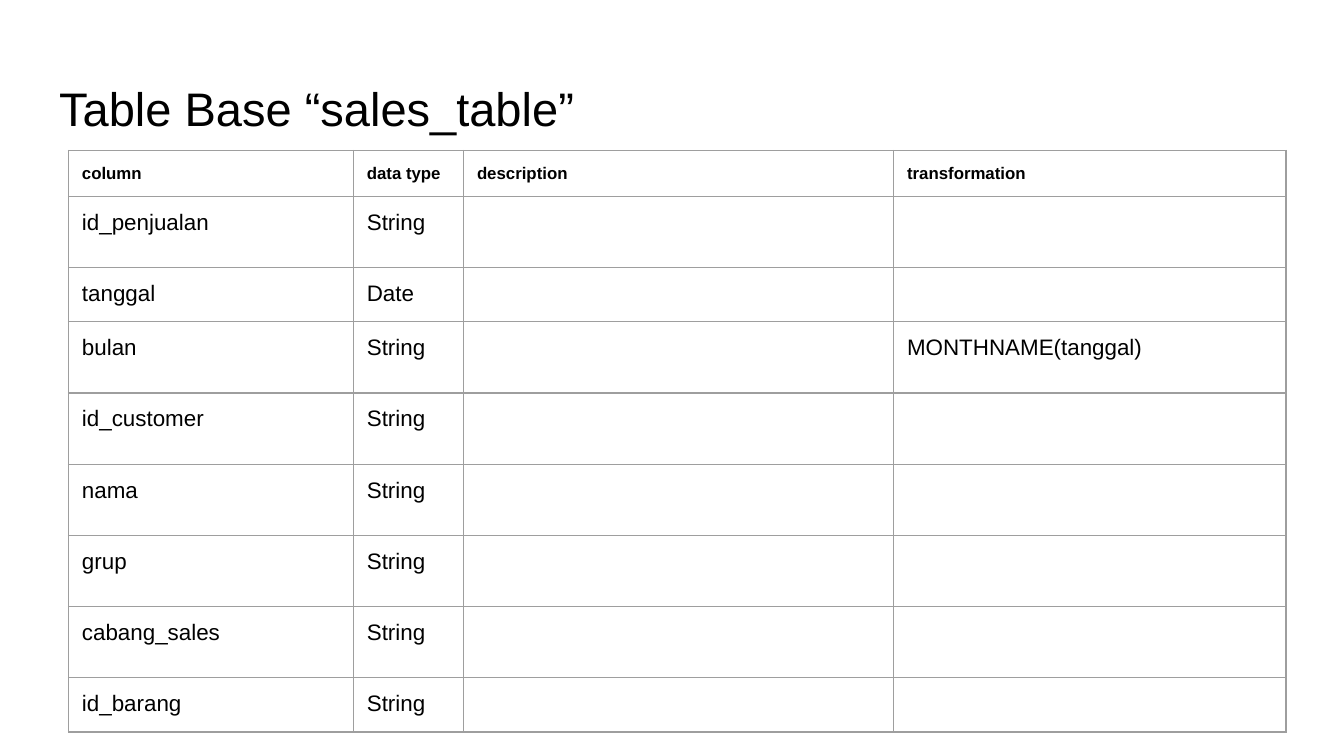
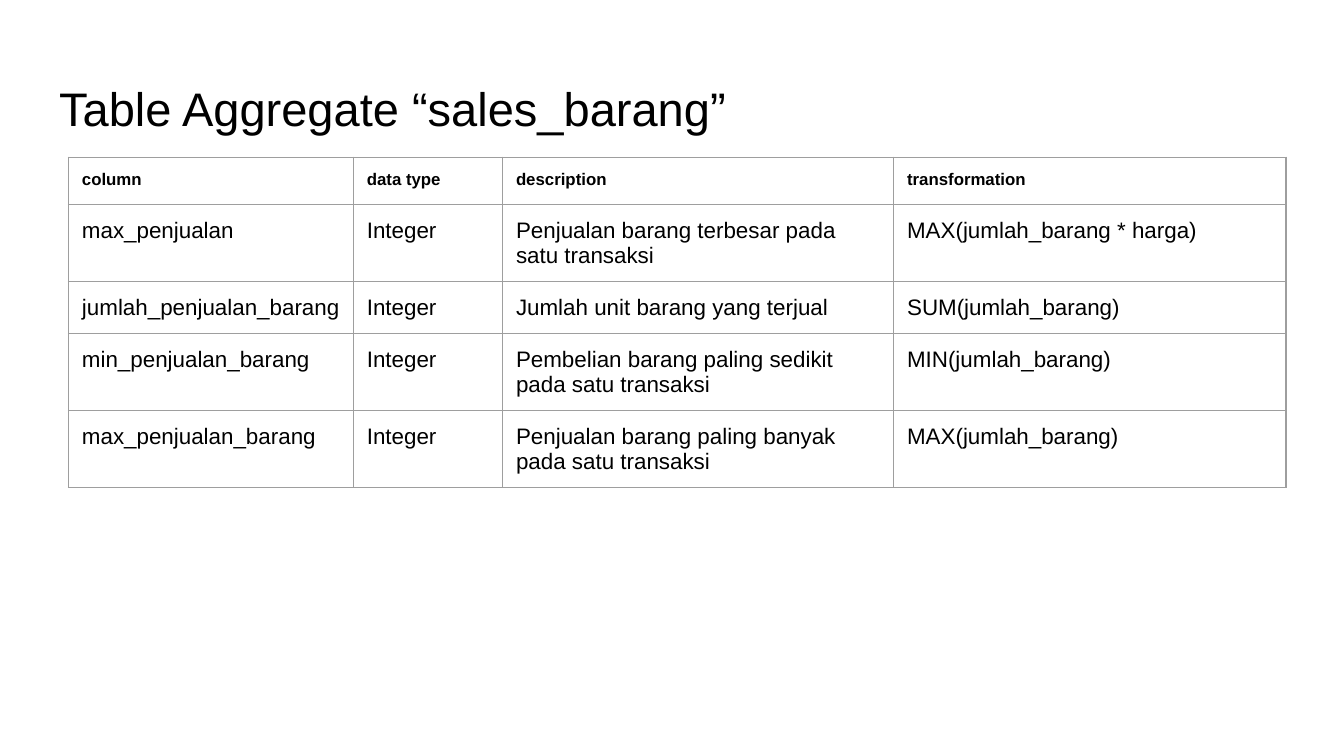
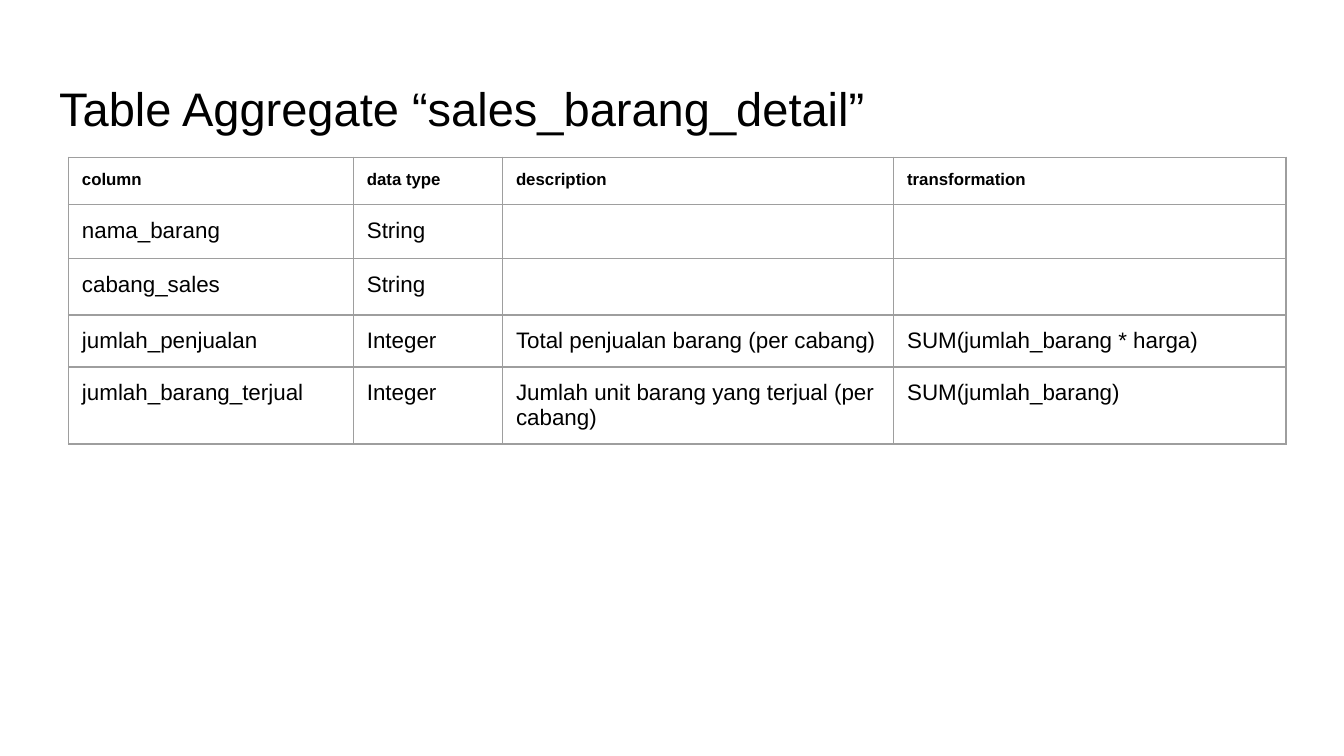
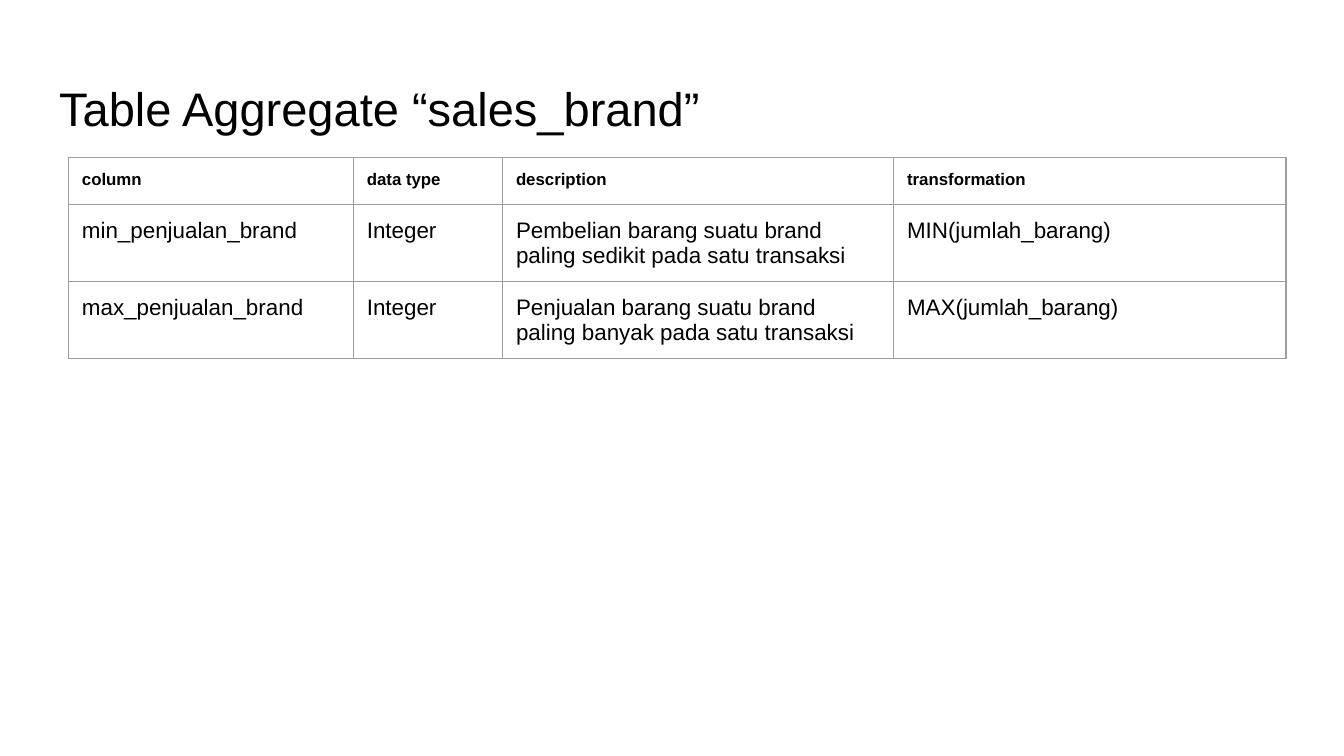
"""Build four slides that document the columns of the sales tables."""
from dataclasses import dataclass

import lxml.etree
import pptx
import pptx.dml.color
import pptx.enum.text
import pptx.oxml.ns
import pptx.presentation
import pptx.slide
import pptx.table
import pptx.text.text
import pptx.util

Inches = pptx.util.Inches


@dataclass(frozen=True)
class Theme:
    font: str = "Arial"
    text_color: str = "000000"
    border_color: str = "9E9E9E"
    border_width: float = 0.75
    title_size: float = 25.2
    header_size: float = 9
    body_size: float = 12
    inset: float = 0.1


@dataclass(frozen=True)
class Column:
    name: str
    data_type: str
    description: str = ""
    transformation: str = ""
    height: float = 0.38


@dataclass(frozen=True)
class TableSlide:
    title: str
    columns: tuple[Column, ...]
    top: float = 1.17
    header_height: float = 0.35
    widths: tuple[float, ...] = (2.12, 1.11, 2.91, 2.92)


THEME = Theme()
HEADERS = ("column", "data type", "description", "transformation")
TABLE_LEFT = 0.51
TALL = 0.53
TWO_LINES = 0.57

TABLE_SLIDES = (
    TableSlide(
        "Table Base “sales_table”",
        (
            Column("id_penjualan", "String", height=TALL),
            Column("tanggal", "Date"),
            Column("bulan", "String", "", "MONTHNAME(tanggal)", TALL),
            Column("id_customer", "String", height=TALL),
            Column("nama", "String", height=TALL),
            Column("grup", "String", height=TALL),
            Column("cabang_sales", "String", height=TALL),
            Column("id_barang", "String"),
        ),
        top=1.12,
        header_height=0.34,
        widths=(2.12, 0.82, 3.2, 2.92),
    ),
    TableSlide(
        "Table Aggregate “sales_barang”",
        (
            Column("max_penjualan", "Integer", "Penjualan barang terbesar pada satu transaksi",
                   "MAX(jumlah_barang * harga)", TWO_LINES),
            Column("jumlah_penjualan_barang", "Integer", "Jumlah unit barang yang terjual",
                   "SUM(jumlah_barang)"),
            Column("min_penjualan_barang", "Integer",
                   "Pembelian barang paling sedikit pada satu transaksi",
                   "MIN(jumlah_barang)", TWO_LINES),
            Column("max_penjualan_barang", "Integer",
                   "Penjualan barang paling banyak pada satu transaksi",
                   "MAX(jumlah_barang)", TWO_LINES),
        ),
    ),
    TableSlide(
        "Table Aggregate “sales_barang_detail”",
        (
            Column("nama_barang", "String"),
            Column("cabang_sales", "String", height=0.42),
            Column("jumlah_penjualan", "Integer", "Total penjualan barang (per cabang)",
                   "SUM(jumlah_barang * harga)"),
            Column("jumlah_barang_terjual", "Integer",
                   "Jumlah unit barang yang terjual (per cabang)",
                   "SUM(jumlah_barang)", TWO_LINES),
        ),
    ),
    TableSlide(
        "Table Aggregate “sales_brand”",
        (
            Column("min_penjualan_brand", "Integer",
                   "Pembelian barang suatu brand paling sedikit pada satu transaksi",
                   "MIN(jumlah_barang)", TWO_LINES),
            Column("max_penjualan_brand", "Integer",
                   "Penjualan barang suatu brand paling banyak pada satu transaksi",
                   "MAX(jumlah_barang)", TWO_LINES),
        ),
    ),
)


def format_runs(paragraph: pptx.text.text._Paragraph, size: float, bold: bool = False) -> None:
    for run in paragraph.runs:
        run.font.name = THEME.font
        run.font.size = pptx.util.Pt(size)
        run.font.bold = bold
        run.font.color.rgb = pptx.dml.color.RGBColor.from_string(THEME.text_color)


def set_insets(box: pptx.table._Cell | pptx.text.text.TextFrame) -> None:
    inset = Inches(THEME.inset)
    box.margin_left = box.margin_right = inset
    box.margin_top = box.margin_bottom = inset


def add_title(slide: pptx.slide.Slide, title: str) -> None:
    shape = slide.shapes.title
    shape.left, shape.top = Inches(0.34), Inches(0.49)
    shape.width, shape.height = Inches(9.32), Inches(0.63)
    frame = shape.text_frame
    frame.text = title
    frame.word_wrap = True
    frame.auto_size = pptx.enum.text.MSO_AUTO_SIZE.NONE
    frame.vertical_anchor = pptx.enum.text.MSO_ANCHOR.MIDDLE
    set_insets(frame)
    paragraph = frame.paragraphs[0]
    paragraph.alignment = pptx.enum.text.PP_ALIGN.LEFT
    format_runs(paragraph, THEME.title_size)


def add_borders(cell: pptx.table._Cell) -> None:
    qn = pptx.oxml.ns.qn
    properties = cell._tc.get_or_add_tcPr()
    for side in ("a:lnL", "a:lnR", "a:lnT", "a:lnB"):
        line = lxml.etree.SubElement(properties, qn(side),
                                     w=str(pptx.util.Pt(THEME.border_width)))
        fill = lxml.etree.SubElement(line, qn("a:solidFill"))
        lxml.etree.SubElement(fill, qn("a:srgbClr"), val=THEME.border_color)


def fill_cell(cell: pptx.table._Cell, text: str, is_header: bool) -> None:
    set_insets(cell)
    add_borders(cell)
    cell.fill.background()
    paragraph = cell.text_frame.paragraphs[0]
    if text:
        paragraph.text = text
        format_runs(paragraph, THEME.header_size if is_header else THEME.body_size, is_header)
    else:
        lxml.etree.SubElement(paragraph._p, pptx.oxml.ns.qn("a:endParaRPr"),
                              sz=str(int(THEME.body_size * 100)))


def add_column_table(slide: pptx.slide.Slide, content: TableSlide) -> None:
    rows = [HEADERS] + [
        (column.name, column.data_type, column.description, column.transformation)
        for column in content.columns
    ]
    heights = [content.header_height] + [column.height for column in content.columns]
    table = slide.shapes.add_table(
        len(rows), len(HEADERS), Inches(TABLE_LEFT), Inches(content.top),
        Inches(sum(content.widths)), Inches(sum(heights)),
    ).table
    table.first_row = table.horz_banding = False
    for table_column, width in zip(table.columns, content.widths):
        table_column.width = Inches(width)
    for row_index, (texts, height) in enumerate(zip(rows, heights)):
        table.rows[row_index].height = Inches(height)
        for column_index, text in enumerate(texts):
            fill_cell(table.cell(row_index, column_index), text, row_index == 0)


def add_table_slide(presentation: pptx.presentation.Presentation, content: TableSlide) -> None:
    slide = presentation.slides.add_slide(presentation.slide_layouts.get_by_name("Title Only"))
    add_title(slide, content.title)
    add_column_table(slide, content)


def main() -> None:
    presentation = pptx.Presentation()
    presentation.slide_width = Inches(10)
    presentation.slide_height = Inches(10) * 9 // 16
    for content in TABLE_SLIDES:
        add_table_slide(presentation, content)
    presentation.save("out.pptx")


if __name__ == "__main__":
    main()
